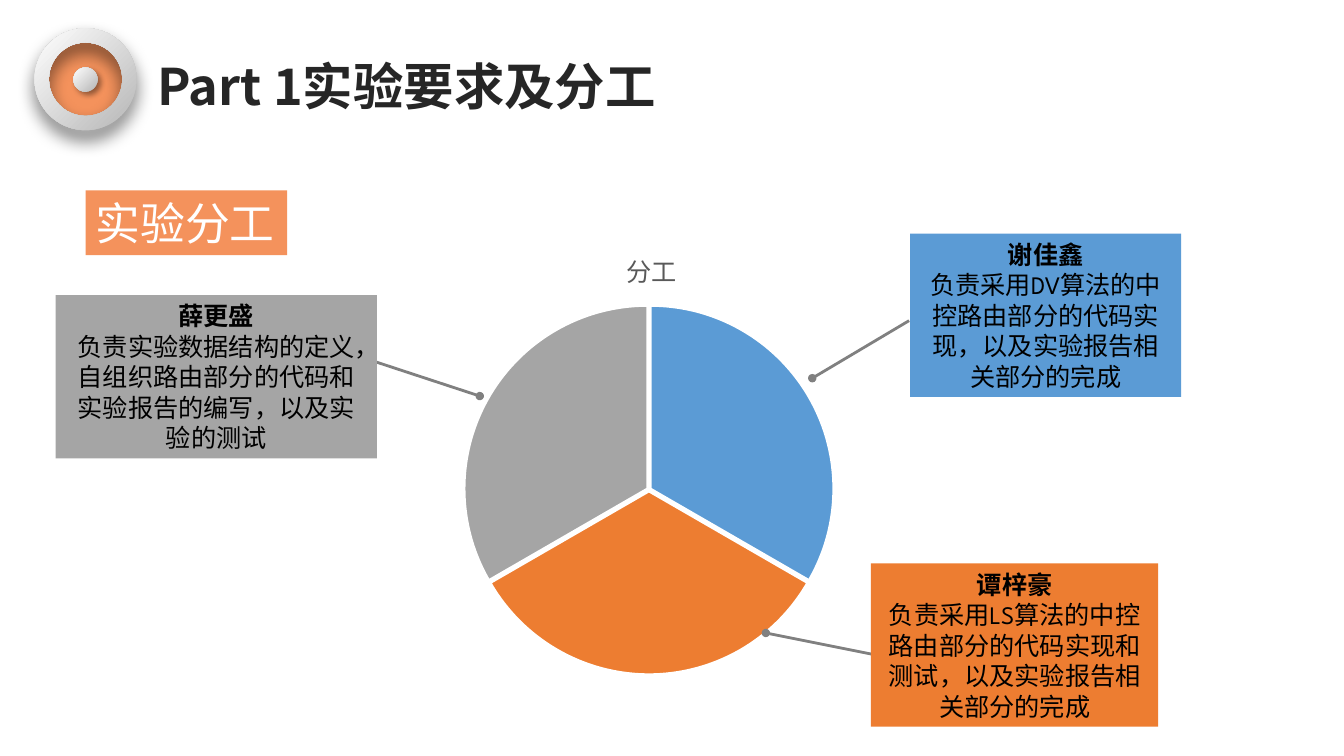
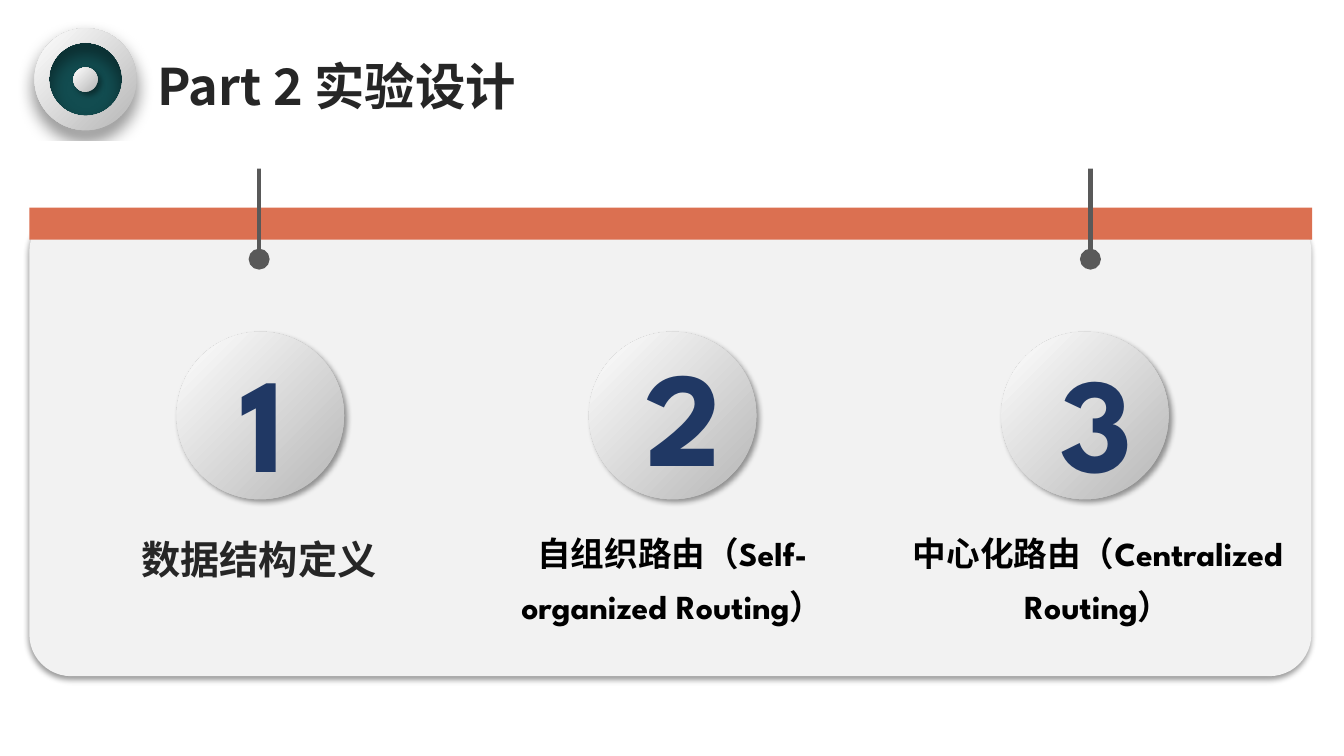
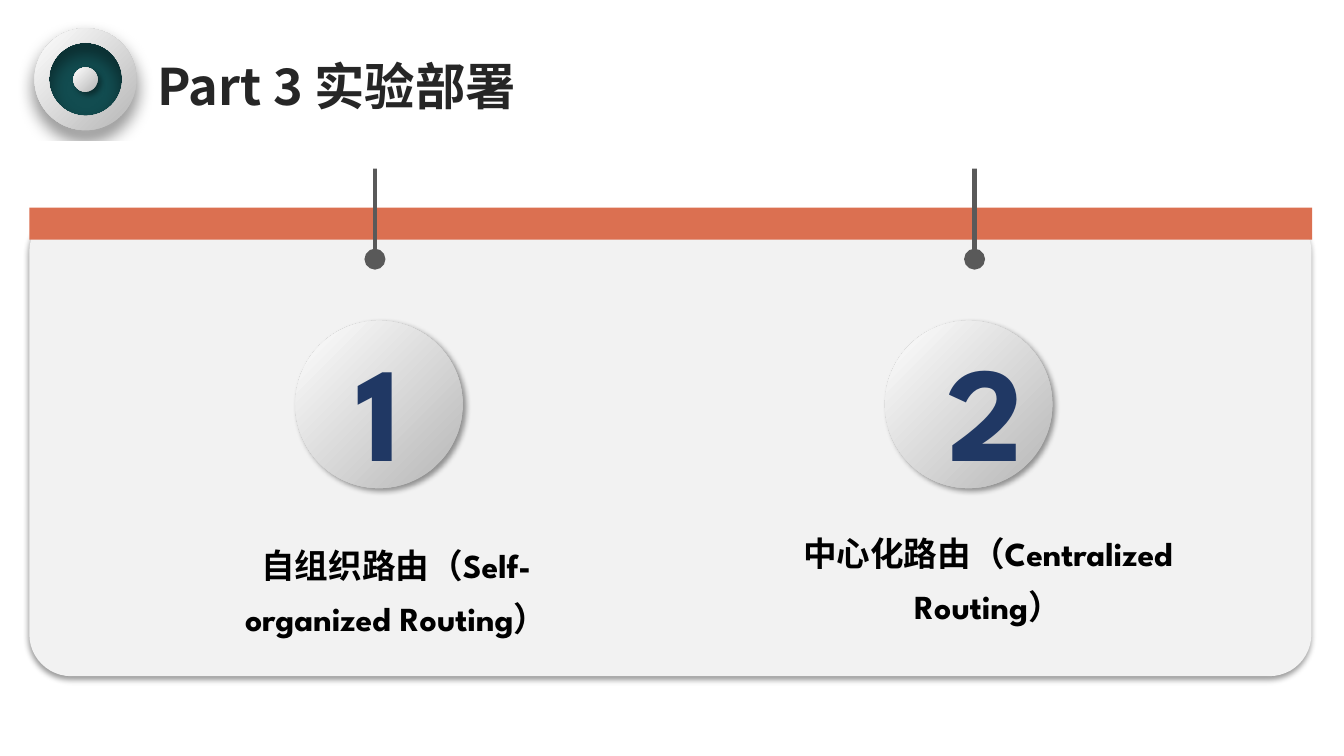
from dataclasses import dataclass
from typing import Any, NamedTuple

from lxml import etree
from pptx import Presentation
from pptx.chart.data import CategoryChartData
from pptx.dml.color import RGBColor
from pptx.enum.chart import XL_CHART_TYPE
from pptx.enum.shapes import MSO_CONNECTOR, MSO_SHAPE
from pptx.enum.text import MSO_ANCHOR, MSO_AUTO_SIZE, PP_ALIGN
from pptx.oxml.ns import qn
from pptx.util import Cm, Pt

LEFT, CENTER = PP_ALIGN.LEFT, PP_ALIGN.CENTER
TOP, NO_AUTOFIT = MSO_ANCHOR.TOP, MSO_AUTO_SIZE.NONE
RECTANGLE, ROUNDED = MSO_SHAPE.RECTANGLE, MSO_SHAPE.ROUNDED_RECTANGLE
OVAL, DONUT = MSO_SHAPE.OVAL, MSO_SHAPE.DONUT
STRAIGHT, PIE = MSO_CONNECTOR.STRAIGHT, XL_CHART_TYPE.PIE
TITLE_ONLY = 5


@dataclass(frozen=True)
class Theme:
    """Colours, fonts and type sizes of the presentation."""

    white: str = "FFFFFF"
    black: str = "000000"
    ink: str = "262626"
    silver: str = "BFBFBF"
    panel: str = "F2F2F2"
    band: str = "DB7051"
    pin: str = "595959"
    leader: str = "808080"
    orange: str = "F4925C"
    teal: str = "124C50"
    navy: str = "203864"
    slices: tuple[str, ...] = ("5B9BD5", "ED7D31", "A5A5A5")
    latin: str = "League Spartan"
    chinese: str = "Noto Sans CJK SC"
    title_size: float = 36
    label_size: float = 32
    large_caption_size: float = 28
    caption_size: float = 24
    body_size: float = 18
    chart_size: float = 10
    digit_size: float = 96
    leading: float = 1.21
    caption_leading: float = 1.56


THEME = Theme()


class Box(NamedTuple):
    """Left, top, width and height in centimetres."""

    left: float
    top: float
    width: float
    height: float

    def lengths(self) -> list[Cm]:
        """Return the four values as lengths."""
        return [Cm(value) for value in self]


class Point(NamedTuple):
    """A place on the slide in centimetres."""

    x: float
    y: float


class Shadow(NamedTuple):
    """Opacity in percent, blur and distance in points, direction in degrees."""

    opacity: int
    blur: float
    distance: float
    direction: int


DISC_SHADOW = Shadow(40, 4, 3, 45)
CARD_SHADOW = Shadow(40, 4, 3, 90)
RING_SHADOW = Shadow(54, 13, 7, 90)


@dataclass(frozen=True)
class Callout:
    """A person's share of the work, with its leader line."""

    name: str
    duty: str
    color: str
    box: Box
    start: Point
    end: Point
    side_inset: float = 0.25


@dataclass(frozen=True)
class Step:
    """A numbered disc with its caption; digit places are offsets."""

    number: str
    caption: str
    disc: Point
    digit: Point
    caption_box: Box
    size: float = THEME.caption_size
    color: str = THEME.black


@dataclass(frozen=True)
class StepSlide:
    """A slide with a pinned card of steps."""

    title: str
    pins: tuple[float, ...]
    steps: tuple[Step, ...]


SELF_ORGANIZED = "自组织路由（Self-organized Routing）"
CENTRALIZED = "中心化路由（Centralized Routing）"

CALLOUTS = (
    Callout("谢佳鑫", "负责采用DV算法的中控路由部分的代码实现，以及实验报告相关部分的完成",
            THEME.slices[0], Box(22.94, 5.89, 6.83, 4.11),
            Point(22.91, 8.08), Point(20.47, 9.53)),
    Callout("谭梓豪", "负责采用LS算法的中控路由部分的代码实现和测试，以及实验报告相关部分的完成",
            THEME.slices[1], Box(21.95, 14.2, 7.24, 4.11),
            Point(21.95, 16.48), Point(19.3, 15.95), side_inset=0.15),
    Callout("薛更盛", "负责实验数据结构的定义，自组织路由部分的代码和实验报告的编写，以及实验的测试",
            THEME.slices[2], Box(1.4, 7.44, 8.1, 4.11),
            Point(9.47, 9.12), Point(12.09, 9.98)),
)

STEP_SLIDES = (
    StepSlide("Part 2 实验设计", (6.53, 27.48), (
        Step("1", "数据结构定义", Point(4.45, 8.36), Point(1.19, 0),
             Box(1.24, 13, 10.57, 1.65), THEME.large_caption_size, THEME.ink),
        Step("2", SELF_ORGANIZED, Point(14.84, 8.36), Point(1.19, -0.15),
             Box(11.66, 13, 10.57, 2.8)),
        Step("3", CENTRALIZED, Point(25.23, 8.36), Point(1.24, 0),
             Box(22.73, 13, 9.88, 2.92)),
    )),
    StepSlide("Part 3 实验部署", (9.45, 24.56), (
        Step("1", SELF_ORGANIZED, Point(7.44, 8.08), Point(1.12, 0),
             Box(4.7, 13.31, 10.57, 2.8)),
        Step("2", CENTRALIZED, Point(22.3, 8.08), Point(1.32, 0),
             Box(19.96, 13, 9.88, 2.92)),
    )),
)


def rgb(color: str) -> RGBColor:
    """Return a colour from its hexadecimal text."""
    return RGBColor.from_string(color)


def write_text(paragraph: Any, text: str, *, size: float, color: str,
               font: str = THEME.latin, bold: bool = False,
               align: Any = CENTER, leading: float = THEME.leading) -> None:
    """Write one formatted run into a paragraph."""
    paragraph.alignment = align
    paragraph.line_spacing = Pt(round(size * leading, 1))
    run = paragraph.add_run()
    run.text = text
    run.font.size, run.font.bold, run.font.name = Pt(size), bold, font
    run.font.color.rgb = rgb(color)
    properties = run.font._element
    east_asian = etree.Element(qn("a:ea"), typeface=THEME.chinese)
    properties.find(qn("a:latin")).addnext(east_asian)


def prepare_frame(shape: Any, side_inset: float = 0.25) -> Any:
    """Set wrapping, anchor and insets, and return the text frame."""
    frame = shape.text_frame
    frame.word_wrap = True
    frame.auto_size = NO_AUTOFIT
    frame.vertical_anchor = TOP
    frame.margin_left = frame.margin_right = Cm(side_inset)
    frame.margin_top = frame.margin_bottom = Cm(0.13)
    return frame


def add_text_box(slide: Any, box: Box, text: str, **text_format: Any) -> None:
    """Add a text box with one paragraph."""
    frame = prepare_frame(slide.shapes.add_textbox(*box.lengths()))
    write_text(frame.paragraphs[0], text, **text_format)


def add_shadow(shape: Any, shadow: Shadow) -> None:
    """Give a shape a soft black outer shadow."""
    effects = shape._element.spPr.find(qn("a:effectLst"))
    outer = etree.SubElement(
        effects, qn("a:outerShdw"), blurRad=str(Pt(shadow.blur)),
        dist=str(Pt(shadow.distance)), dir=str(shadow.direction * 60000),
        algn="ctr", rotWithShape="0")
    color = etree.SubElement(outer, qn("a:srgbClr"), val=THEME.black)
    etree.SubElement(color, qn("a:alpha"), val=str(shadow.opacity * 1000))


def add_figure(slide: Any, kind: Any, box: Box, color: str | None = None,
               shadow: Shadow | None = None, adjustment: float | None = None) -> Any:
    """Add a borderless shape; without a colour it is silver metal."""
    shape = slide.shapes.add_shape(kind, *box.lengths())
    shape.line.fill.background()
    shape.shadow.inherit = False
    if color:
        shape.fill.solid()
        shape.fill.fore_color.rgb = rgb(color)
    else:
        shape.rotation = 180
        shape.fill.gradient()
        shape.fill.gradient_angle = 315
        stops = ((0.12, THEME.silver), (1, THEME.white))
        for stop, (position, stop_color) in zip(shape.fill.gradient_stops, stops):
            stop.position = position
            stop.color.rgb = rgb(stop_color)
    if adjustment is not None:
        shape.adjustments[0] = adjustment
    if shadow:
        add_shadow(shape, shadow)
    return shape


def add_dotted_line(slide: Any, start: Point, end: Point, color: str,
                    width: float, dot_size: str) -> None:
    """Add a line that ends in a round dot."""
    connector = slide.shapes.add_connector(
        STRAIGHT, Cm(start.x), Cm(start.y), Cm(end.x), Cm(end.y))
    connector.line.color.rgb = rgb(color)
    connector.line.width = Pt(width)
    properties = connector._element.spPr
    etree.SubElement(properties.find(qn("a:ln")), qn("a:tailEnd"),
                     type="oval", w=dot_size, len=dot_size)
    etree.SubElement(properties, qn("a:effectLst"))


def add_titled_slide(presentation: Any, title: str, badge_color: str) -> Any:
    """Add a slide with the shared title and round badge."""
    slide = presentation.slides.add_slide(presentation.slide_layouts[TITLE_ONLY])
    add_figure(slide, OVAL, Box(1.14, 1.02, 2.01, 2.01), badge_color)
    add_figure(slide, OVAL, Box(1.85, 1.7, 0.61, 0.61), shadow=DISC_SHADOW)
    add_figure(slide, DONUT, Box(0.87, 0.71, 2.57, 2.57),
               shadow=RING_SHADOW, adjustment=0.14)
    heading = slide.shapes.title
    heading.left, heading.top, heading.width, heading.height = Box(
        3.71, 1.24, 13.2, 1.8).lengths()
    write_text(prepare_frame(heading).paragraphs[0], title, size=THEME.title_size,
               color=THEME.ink, font=THEME.chinese, bold=True, align=LEFT)
    return slide


def place_in_chart(element: Any, **fractions: float) -> None:
    """Place a chart part by fractions of the chart's size."""
    layout = element.find(qn("c:layout"))
    if layout is None:
        layout = etree.Element(qn("c:layout"))
        element.insert(0, layout)
    manual = etree.SubElement(layout, qn("c:manualLayout"))
    settings = {"xMode": "edge", "yMode": "edge", **fractions}
    if "w" in fractions:
        settings = {"layoutTarget": "inner", **settings}
    for name, value in settings.items():
        etree.SubElement(manual, qn(f"c:{name}"), val=str(value))


def add_work_chart(slide: Any) -> None:
    """Add the pie that shares the work equally."""
    data = CategoryChartData()
    data.categories = ["1", "2", "3"]
    data.add_series("Series 1", [33] * len(THEME.slices))
    frame = slide.shapes.add_chart(PIE, *Box(7.92, 5.56, 16.87, 11.79).lengths(), data)
    chart = frame.chart
    chart.has_legend = False
    chart.font.name, chart.font.size = THEME.latin, Pt(THEME.chart_size)
    chart.font.color.rgb = rgb(THEME.black)
    chart.has_title = True
    write_text(chart.chart_title.text_frame.paragraphs[0], "分工",
               size=THEME.body_size, color=THEME.pin)
    plot = chart.plots[0]
    plot.vary_by_categories = True
    series = plot.series[0]
    for index, color in enumerate(THEME.slices):
        point_format = series.points[index].format
        point_format.fill.solid()
        point_format.fill.fore_color.rgb = rgb(color)
        point_format.line.color.rgb = rgb(THEME.white)
        point_format.line.width = Pt(1.5)
    explosion = etree.Element(qn("c:explosion"), val="1")
    series._element.find(qn("c:dPt")).addprevious(explosion)
    place_in_chart(chart.chart_title._element, x=0.46, y=0.05)
    plot_area = chart.element.find(f"{qn('c:chart')}/{qn('c:plotArea')}")
    place_in_chart(plot_area, x=0.22, y=0.18, w=0.56, h=0.79)


def add_callout(slide: Any, callout: Callout) -> None:
    """Add a leader line and the coloured box it belongs to."""
    add_dotted_line(slide, callout.start, callout.end, THEME.leader, 2, "med")
    shape = add_figure(slide, RECTANGLE, callout.box, callout.color)
    frame = prepare_frame(shape, callout.side_inset)
    write_text(frame.paragraphs[0], callout.name, size=THEME.body_size,
               color=THEME.black, bold=True)
    write_text(frame.add_paragraph(), callout.duty, size=THEME.body_size,
               color=THEME.black)


def add_work_slide(presentation: Any) -> None:
    """Build the slide that divides the work."""
    slide = add_titled_slide(presentation, "Part 1实验要求及分工", THEME.orange)
    add_work_chart(slide)
    label = add_figure(slide, RECTANGLE, Box(2.16, 4.8, 5.08, 1.63), THEME.orange)
    write_text(prepare_frame(label).paragraphs[0], "实验分工", size=THEME.label_size,
               color=THEME.white, font=THEME.chinese, align=LEFT)
    for callout in CALLOUTS:
        add_callout(slide, callout)


def add_step(slide: Any, step: Step) -> None:
    """Add a disc, its number and its caption."""
    add_figure(slide, OVAL, Box(*step.disc, 4.22, 4.22), shadow=DISC_SHADOW)
    digit_box = Box(step.disc.x + step.digit.x, step.disc.y + step.digit.y, 1.96, 4.37)
    add_text_box(slide, digit_box, step.number, size=THEME.digit_size,
                 color=THEME.navy, bold=True)
    add_text_box(slide, step.caption_box, step.caption, size=step.size,
                 color=step.color, bold=True, leading=THEME.caption_leading)


def add_step_slide(presentation: Any, content: StepSlide) -> None:
    """Build a slide with a pinned card of numbered steps."""
    slide = add_titled_slide(presentation, content.title, THEME.teal)
    add_figure(slide, ROUNDED, Box(0.74, 5.28, 32.31, 11.76), THEME.panel,
               CARD_SHADOW, 0.09)
    add_figure(slide, RECTANGLE, Box(0.74, 5.23, 32.33, 0.81), THEME.band)
    for x in content.pins:
        add_dotted_line(slide, Point(x, 3.91), Point(x, 6.53), THEME.pin, 3, "lg")
    add_figure(slide, RECTANGLE, Box(0, 3.56, 33.87, 0.69), THEME.white)
    for step in content.steps:
        add_step(slide, step)


def main() -> None:
    """Build and save the presentation."""
    presentation = Presentation()
    presentation.slide_width, presentation.slide_height = Cm(33.87), Cm(19.05)
    add_work_slide(presentation)
    for content in STEP_SLIDES:
        add_step_slide(presentation, content)
    presentation.save("out.pptx")


if __name__ == "__main__":
    main()
